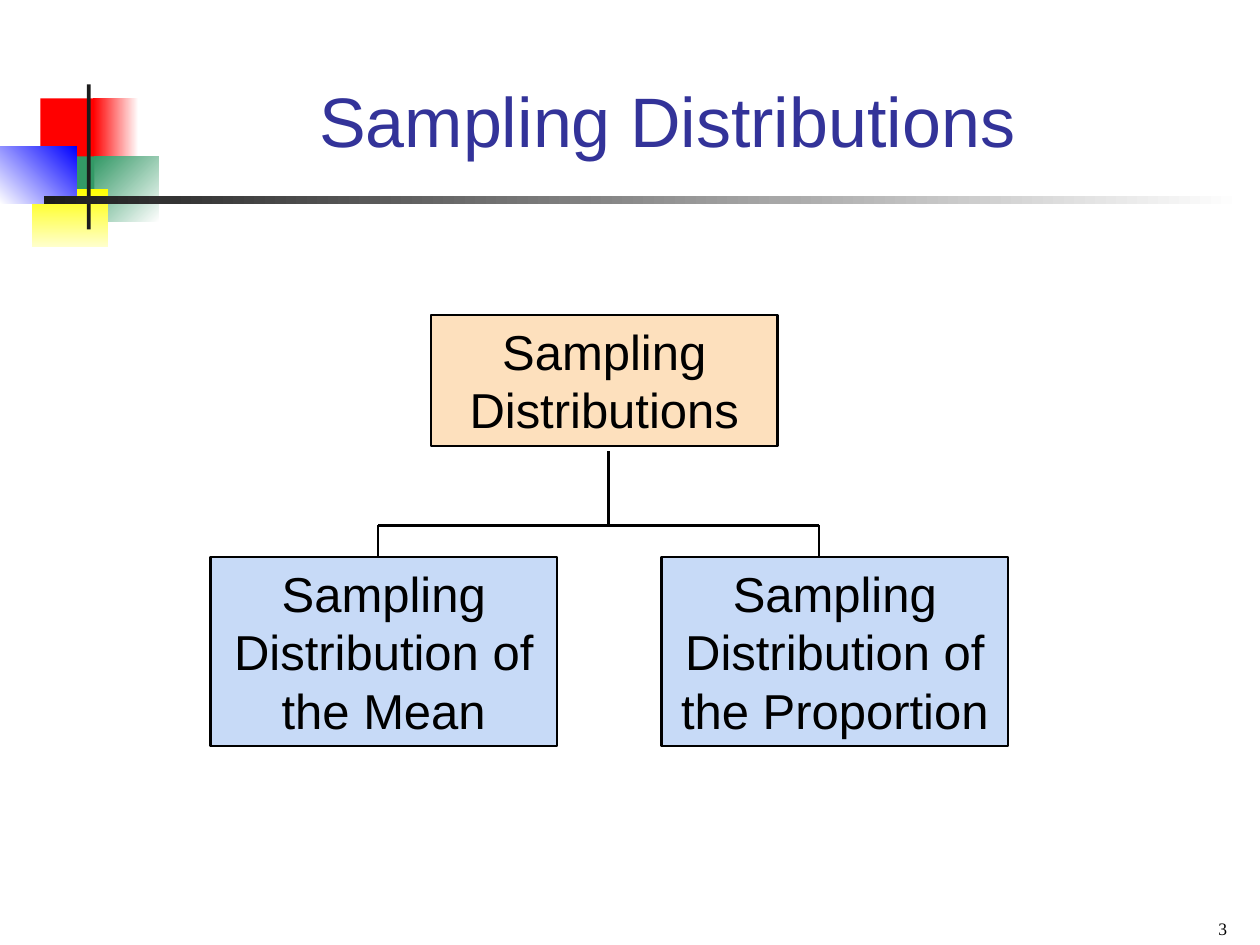
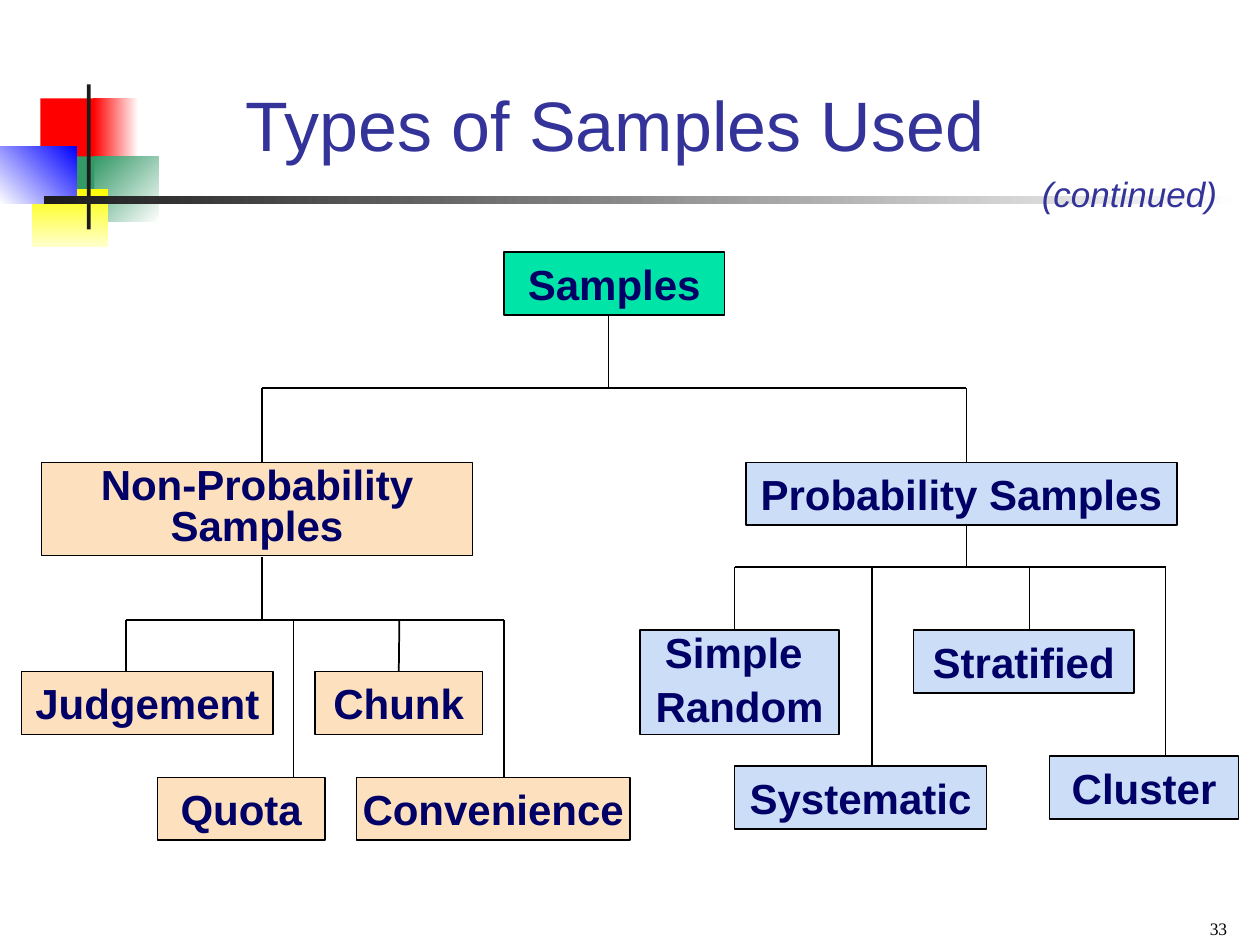
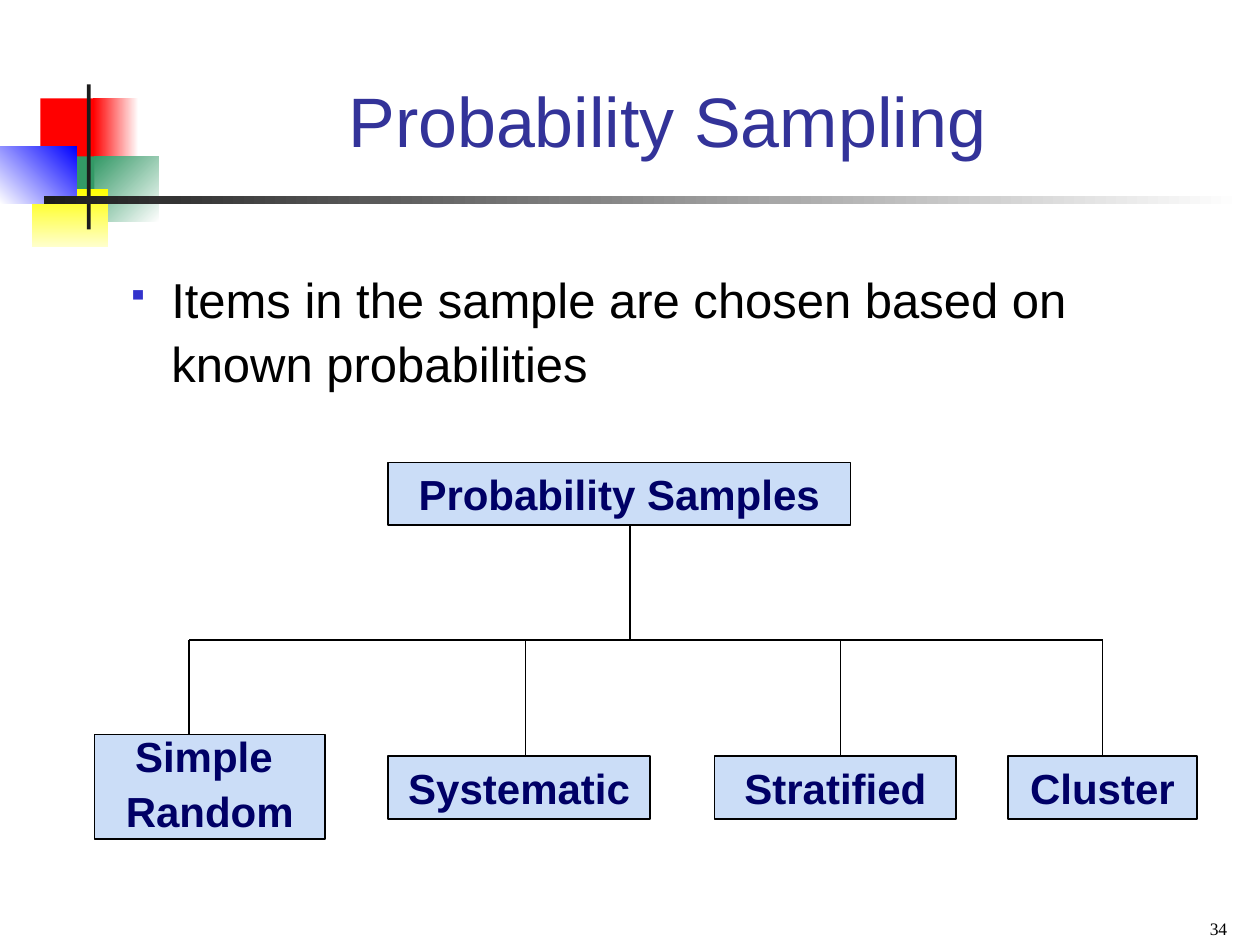
from dataclasses import dataclass

from lxml import etree
from pptx import Presentation
from pptx import util as u
from pptx.dml.color import RGBColor
from pptx.enum import shapes, text
from pptx.oxml.ns import qn

# Shared colours and fonts
BLACK = RGBColor(0x00, 0x00, 0x00)
WHITE = RGBColor(0xFF, 0xFF, 0xFF)
INK = RGBColor(0x1C, 0x1C, 0x1C)
RED = RGBColor(0xFF, 0x00, 0x00)
GREEN = RGBColor(0x33, 0x99, 0x66)
YELLOW = RGBColor(0xFF, 0xFF, 0x00)
CREAM = RGBColor(0xFF, 0xFF, 0xCC)
BLUE = RGBColor(0x00, 0x00, 0xFF)
TITLE = RGBColor(0x33, 0x33, 0x99)
NAVY = RGBColor(0x00, 0x00, 0x66)
PEACH = RGBColor(0xFD, 0xE0, 0xBD)
PALE = RGBColor(0xC7, 0xDA, 0xF7)
SKY = RGBColor(0xCB, 0xDD, 0xF7)
MINT = RGBColor(0x00, 0xE4, 0xA8)
SANS = "Arial"
SERIF = "Times New Roman"
LEFT, MID, RIGHT = text.PP_ALIGN.LEFT, text.PP_ALIGN.CENTER, text.PP_ALIGN.RIGHT
TOP, BASE = text.MSO_ANCHOR.TOP, text.MSO_ANCHOR.BOTTOM
SNAP = 0.02  # a line this close to a box's middle is joined to it


@dataclass(frozen=True)
class Patch:
    """Part of the corner ornament; a second colour makes a gradient."""
    x: float
    y: float
    w: float
    h: float
    start: RGBColor
    end: RGBColor | None = None
    angle: int = 0


@dataclass(frozen=True)
class Type:
    size: float
    color: RGBColor
    face: str = SANS
    bold: bool = False
    italic: bool = False


@dataclass(frozen=True)
class Node:
    """A box of the tree; drop is the x of the line that reaches it."""
    words: str
    x: float
    y: float
    w: float
    h: float
    fill: RGBColor
    drop: float = 0
    wrap: bool = True
    tight: bool = False


@dataclass(frozen=True)
class Fork:
    """A stem that goes down to a bar, from which the nodes hang."""
    x: float
    top: float
    bar: float
    kids: list[Node]
    thin: float = 1


@dataclass(frozen=True)
class Style:
    type: Type
    line: float


ORNAMENT = [
    Patch(0.32, 0.78, 0.48, 0.52, RED),
    Patch(0.74, 0.78, 0.36, 0.52, WHITE, RED, 180),
    Patch(0.75, 1.24, 0.51, 0.52, WHITE, GREEN, 225),
    Patch(0.43, 1.24, 0.32, 0.52, GREEN),
    Patch(0.25, 1.5, 0.61, 0.46, YELLOW, CREAM, 90),
    Patch(0, 1.16, 0.61, 0.46, BLUE, WHITE, 135),
    Patch(0.69, 0.67, 0.03, 1.15, INK),
    Patch(0.35, 1.56, 9.51, 0.06, WHITE, INK, 180),
]
HEAD = Type(40, TITLE)
NOTE = Type(20, TITLE, italic=True)
BODY = Type(28, BLACK)
PAGE = Type(10, BLACK, SERIF)
PLAIN = Style(BODY, 1.5)
STRONG = Style(Type(24, NAVY, bold=True), 1)


def rect(slide, x: float, y: float, w: float, h: float):
    shape = slide.shapes.add_shape(shapes.MSO_SHAPE.RECTANGLE, u.Inches(x),
                                   u.Inches(y), u.Inches(w), u.Inches(h))
    shape.shadow.inherit = False
    return shape


def write(frame, words: str, kind: Type, align=MID, anchor=TOP,
          side: float = 0.1) -> None:
    frame.vertical_anchor = anchor
    frame.margin_left = frame.margin_right = u.Inches(side)
    frame.margin_top = frame.margin_bottom = u.Inches(0.05)
    for num, line in enumerate(words.split("\n")):
        para = frame.add_paragraph() if num else frame.paragraphs[0]
        para.alignment = align
        run = para.add_run()
        run.text = line
        font = run.font
        font.size, font.name = u.Pt(kind.size), kind.face
        font.bold, font.italic = kind.bold, kind.italic
        font.color.rgb = kind.color


def label(slide, x: float, y: float, w: float, h: float, words: str,
          kind: Type, align=LEFT, anchor=TOP, side: float = 0.09):
    box = slide.shapes.add_textbox(u.Inches(x), u.Inches(y),
                                   u.Inches(w), u.Inches(h))
    box.text_frame.word_wrap = True
    write(box.text_frame, words, kind, align, anchor, side)
    return box.text_frame


def rule(slide, x: float, y: float, x2: float, y2: float, width: float):
    line = slide.shapes.add_connector(shapes.MSO_CONNECTOR.STRAIGHT, u.Inches(x),
                                      u.Inches(y), u.Inches(x2), u.Inches(y2))
    line.line.color.rgb = BLACK
    line.line.width = u.Pt(width)
    etree.SubElement(line._element.spPr, qn("a:effectLst"))
    return line


def draw_node(slide, node: Node, style: Style):
    shape = rect(slide, node.x, node.y, node.w, node.h)
    shape.fill.solid()
    shape.fill.fore_color.rgb = node.fill
    shape.line.color.rgb = BLACK
    shape.line.width = u.Pt(style.line)
    frame = shape.text_frame
    frame.word_wrap = node.wrap
    write(frame, node.words, style.type)
    if node.tight:
        first, *rest = frame.paragraphs
        first.line_spacing = 0.8
        for para in rest:
            para.line_spacing, para.space_before = 0.5, u.Pt(15)
    return shape


def draw_fork(slide, fork: Fork, style: Style) -> None:
    rule(slide, fork.x, fork.top, fork.x, fork.bar, style.line)
    drops = [kid.drop for kid in fork.kids]
    rule(slide, min(drops), fork.bar, max(drops), fork.bar,
         style.line * fork.thin)
    for kid in fork.kids:
        line = rule(slide, kid.drop, fork.bar, kid.drop, kid.y, style.line)
        shape = draw_node(slide, kid, style)
        if abs(kid.x + kid.w / 2 - kid.drop) < SNAP:
            line.end_connect(shape, 0)


def start(deck, title: str, page: int, x: float = 1.26, y: float = 0.25,
          w: float = 8.07, h: float = 1.08):
    """Add a slide with the ornament, title and page number."""
    slide = deck.slides.add_slide(deck.slide_layouts[6])
    for part in ORNAMENT:
        shape = rect(slide, part.x, part.y, part.w, part.h)
        shape.line.fill.background()
        if part.end is None:
            shape.fill.solid()
            shape.fill.fore_color.rgb = part.start
        else:
            shape.fill.gradient()
            shape.fill.gradient_angle = 360 - part.angle
            for stop, color in zip(shape.fill.gradient_stops,
                                   (part.start, part.end)):
                stop.color.rgb = color
    label(slide, x, y, w, h, title, HEAD, MID, BASE)
    label(slide, 7.5, 7.15, 2.33, 0.35, str(page), PAGE, RIGHT, BASE)
    return slide


def bullet(para) -> None:
    props = para._p.get_or_add_pPr()
    props.set("marL", str(u.Inches(0.35)))
    props.set("indent", str(-u.Inches(0.35)))
    color = etree.SubElement(props, qn("a:buClr"))
    etree.SubElement(color, qn("a:srgbClr"), val="3333CC")
    etree.SubElement(props, qn("a:buSzPct"), val="60000")
    etree.SubElement(props, qn("a:buChar"), char="▪")


def distributions(deck) -> None:
    slide = start(deck, "Sampling Distributions", 3)
    draw_node(slide, Node("Sampling Distributions", 3.42, 2.5, 2.75, 1.04, PEACH),
              PLAIN)
    draw_fork(slide, Fork(4.83, 3.58, 4.17, [
        Node("Sampling Distribution of the Mean",
             1.67, 4.42, 2.75, 1.5, PALE, 3),
        Node("Sampling Distribution of the Proportion",
             5.25, 4.42, 2.75, 1.5, PALE, 6.5),
    ]), PLAIN)


def sample_types(deck) -> None:
    slide = start(deck, "Types of Samples Used", 33, 1.33, 0.42, 7.1, 0.94)
    label(slide, 8.17, 1.32, 1.67, 0.44, "(continued)", NOTE, side=0.1)
    draw_node(slide, Node("Samples", 4, 2, 1.75, 0.5, MINT), STRONG)
    forks = [
        Fork(4.83, 2.5, 3.08, [
            Node("Non-Probability Samples", 0.33, 3.67, 3.42, 0.74, PEACH, 2.08,
                 tight=True),
            Node("Probability Samples", 5.92, 3.67, 3.42, 0.5, SKY, 7.67),
        ]),
        Fork(2.08, 4.42, 4.92, [
            Node("Judgement", 0.17, 5.33, 2, 0.5, PEACH, 1),
            Node("Quota", 1.25, 6.17, 1.33, 0.5, PEACH, 2.33),
            Node("Chunk", 2.5, 5.33, 1.33, 0.5, PEACH, 3.17),
            Node("Convenience", 2.83, 6.17, 2.17, 0.5, PEACH, 4, wrap=False),
        ], 0.75),
        Fork(7.67, 4.17, 4.5, [
            Node("Simple \nRandom", 5.08, 5, 1.58, 0.83, SKY, 5.83, tight=True),
            Node("Systematic", 5.83, 6.08, 2, 0.5, SKY, 6.92),
            Node("Stratified", 7.25, 5, 1.75, 0.5, SKY, 8.17),
            Node("Cluster", 8.33, 6, 1.5, 0.5, SKY, 9.25),
        ], 0.75),
    ]
    for fork in forks:
        draw_fork(slide, fork, STRONG)


def probability(deck) -> None:
    slide = start(deck, "Probability Sampling", 34)
    body = label(slide, 0.92, 2.04, 8.83, 1.3,
                 "Items in the sample are chosen based on known probabilities",
                 BODY)
    bullet(body.paragraphs[0])
    body.paragraphs[0].line_spacing = 1.1
    draw_node(slide, Node("Probability Samples", 3.08, 3.67, 3.67, 0.5, SKY),
              STRONG)
    draw_fork(slide, Fork(5, 4.17, 5.08, [
        Node("Simple \nRandom", 0.75, 5.83, 1.83, 0.83, SKY, 1.5, tight=True),
        Node("Systematic", 3.08, 6, 2.08, 0.5, SKY, 4.17),
        Node("Stratified", 5.67, 6, 1.92, 0.5, SKY, 6.67),
        Node("Cluster", 8, 6, 1.5, 0.5, SKY, 8.75),
    ]), STRONG)


def main() -> None:
    deck = Presentation()
    deck.slide_width, deck.slide_height = u.Inches(10), u.Inches(7.5)
    distributions(deck)
    sample_types(deck)
    probability(deck)
    deck.save("out.pptx")


if __name__ == "__main__":
    main()
